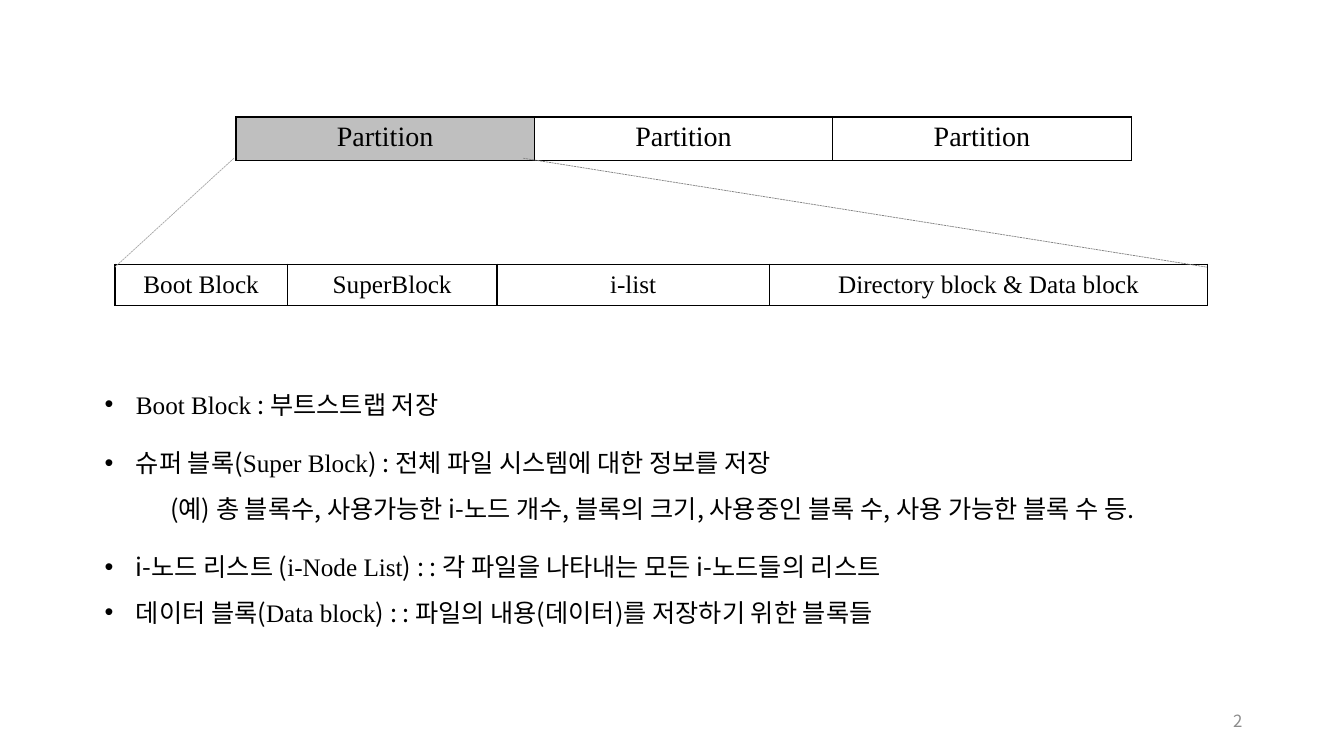
from dataclasses import dataclass

from lxml.etree import SubElement
from pptx import Presentation
from pptx.dml.color import RGBColor
from pptx.enum.dml import MSO_LINE_DASH_STYLE as Dash
from pptx.enum.shapes import MSO_CONNECTOR as Connector
from pptx.enum.text import MSO_ANCHOR as Anchor, MSO_AUTO_SIZE as AutoSize, PP_ALIGN as Align
from pptx.oxml.ns import qn
from pptx.util import Inches, Pt

LATIN = "Times New Roman"
KOREAN = "Noto Sans CJK KR"
BLACK = "000000"


@dataclass
class Strip:
    """A one-row table of labelled disk areas."""
    left: float
    top: float
    widths: list[float]
    labels: list[str]
    size: int
    anchor: Anchor
    shaded: int | None = None


@dataclass
class Guide:
    start: tuple[float, float]
    end: tuple[float, float]
    color: str


@dataclass
class Note:
    """Wording as (text, font) pairs; an example line has no bullet."""
    wording: list[tuple[str, str]]
    bullet: bool = True
    gap_after: float = 0


STRIPS = [
    Strip(2.34, 1.16, [2.96] * 3, ["Partition"] * 3, 20, Anchor.TOP, shaded=0),
    Strip(1.14, 2.62, [1.71, 2.08, 2.7, 4.35],
          ["Boot Block", "SuperBlock", "i-list", "Directory block & Data block"],
          18, Anchor.MIDDLE),
]
GUIDES = [
    Guide((2.32, 1.57), (1.14, 2.65), "A6A6A6"),
    Guide((5.19, 1.57), (11.97, 2.65), "808080"),
]
NOTES = [
    Note([("Boot Block ", LATIN), (": 부트스트랩 저장", KOREAN)], gap_after=9.5),
    Note([("슈퍼 블록(", KOREAN), ("Super Block", LATIN),
          (") : 전체 파일 시스템에 대한 정보를 저장", KOREAN)]),
    Note([("(예) 총 블록수, 사용가능한 i-노드 개수, 블록의 크기, "
           "사용중인 블록 수, 사용 가능한 블록 수 등.", KOREAN)],
         bullet=False, gap_after=9.5),
    Note([("i-노드 리스트 (", KOREAN), ("i-Node List", LATIN),
          (") : : 각 파일을 나타내는 모든 i-노드들의 리스트", KOREAN)]),
    Note([("데이터 블록(", KOREAN), ("Data block", LATIN),
          (") : : 파일의 내용(데이터)를 저장하기 위한 블록들", KOREAN)]),
]


def rgb(color: str) -> RGBColor:
    return RGBColor.from_string(color)


def apply(target, formats: dict) -> None:
    for name, value in formats.items():
        setattr(target, name, value)


def add_span(para, text: str, font: str, size: int, color: str = BLACK) -> None:
    span = para.add_run()
    span.text = text
    apply(span.font, {"name": font, "size": Pt(size), "bold": False})
    span.font.color.rgb = rgb(color)
    SubElement(span.font._element, qn("a:ea"), typeface=font)


def add_borders(cell) -> None:
    props = cell._tc.get_or_add_tcPr()
    for index, side in enumerate(("lnL", "lnR", "lnT", "lnB")):
        line = SubElement(props, qn(f"a:{side}"), w=str(Pt(1)))
        fill = SubElement(line, qn("a:solidFill"))
        SubElement(fill, qn("a:srgbClr"), val=BLACK)
        props.remove(line)
        props.insert(index, line)


def add_strip(page, strip: Strip) -> None:
    table = page.shapes.add_table(
        1, len(strip.labels), Inches(strip.left), Inches(strip.top),
        Inches(sum(strip.widths)), Inches(0.41)).table
    apply(table, {"first_row": False, "horz_banding": False})
    for index, (width, label) in enumerate(zip(strip.widths, strip.labels)):
        table.columns[index].width = Inches(width)
        cell = table.cell(0, index)
        cell.vertical_anchor = strip.anchor
        if index == strip.shaded:
            cell.fill.solid()
            cell.fill.fore_color.rgb = rgb("BFBFBF")
        else:
            cell.fill.background()
        add_borders(cell)
        para = cell.text_frame.paragraphs[0]
        para.alignment = Align.CENTER
        add_span(para, label, LATIN, strip.size)


def add_guide(page, guide: Guide) -> None:
    line = page.shapes.add_connector(
        Connector.STRAIGHT, *map(Inches, guide.start + guide.end))
    line.line.color.rgb = rgb(guide.color)
    apply(line.line, {"width": Pt(0.5), "dash_style": Dash.SQUARE_DOT})
    SubElement(line._element.spPr, qn("a:effectLst"))


def add_box(page, left: float, top: float, width: float, height: float, formats: dict):
    box = page.shapes.add_textbox(*map(Inches, (left, top, width, height)))
    apply(box.text_frame, {"word_wrap": True, **formats})
    return box.text_frame


def add_note(para, note: Note) -> None:
    apply(para, {"line_spacing": 1.5, "space_after": Pt(note.gap_after)})
    props = para._p.get_or_add_pPr()
    if note.bullet:
        props.set("marL", str(Inches(0.31)))
        props.set("indent", str(Inches(-0.31)))
        SubElement(props, qn("a:buFont"), typeface="Arial")
        SubElement(props, qn("a:buChar"), char="•")
    else:
        props.set("marL", str(Inches(0.65)))
    for text, font in note.wording:
        add_span(para, text, font, 18)


def main() -> None:
    deck = Presentation()
    apply(deck, {"slide_width": Inches(13.33), "slide_height": Inches(7.5)})
    page = deck.slides.add_slide(deck.slide_layouts[6])

    # Page number
    number = add_box(page, 9.42, 6.95, 3, 0.4, {"vertical_anchor": Anchor.MIDDLE})
    number.paragraphs[0].alignment = Align.RIGHT
    add_span(number.paragraphs[0], "2", KOREAN, 12, "8C8C8C")

    # Partitions and the blocks of the first one
    for strip in STRIPS:
        add_strip(page, strip)
    for guide in GUIDES:
        add_guide(page, guide)

    # Explanations
    frame = add_box(page, 0.94, 3.66, 11.57, 3.25,
                    {"auto_size": AutoSize.SHAPE_TO_FIT_TEXT})
    for index, note in enumerate(NOTES):
        add_note(frame.add_paragraph() if index else frame.paragraphs[0], note)

    deck.save("out.pptx")


if __name__ == "__main__":
    main()
